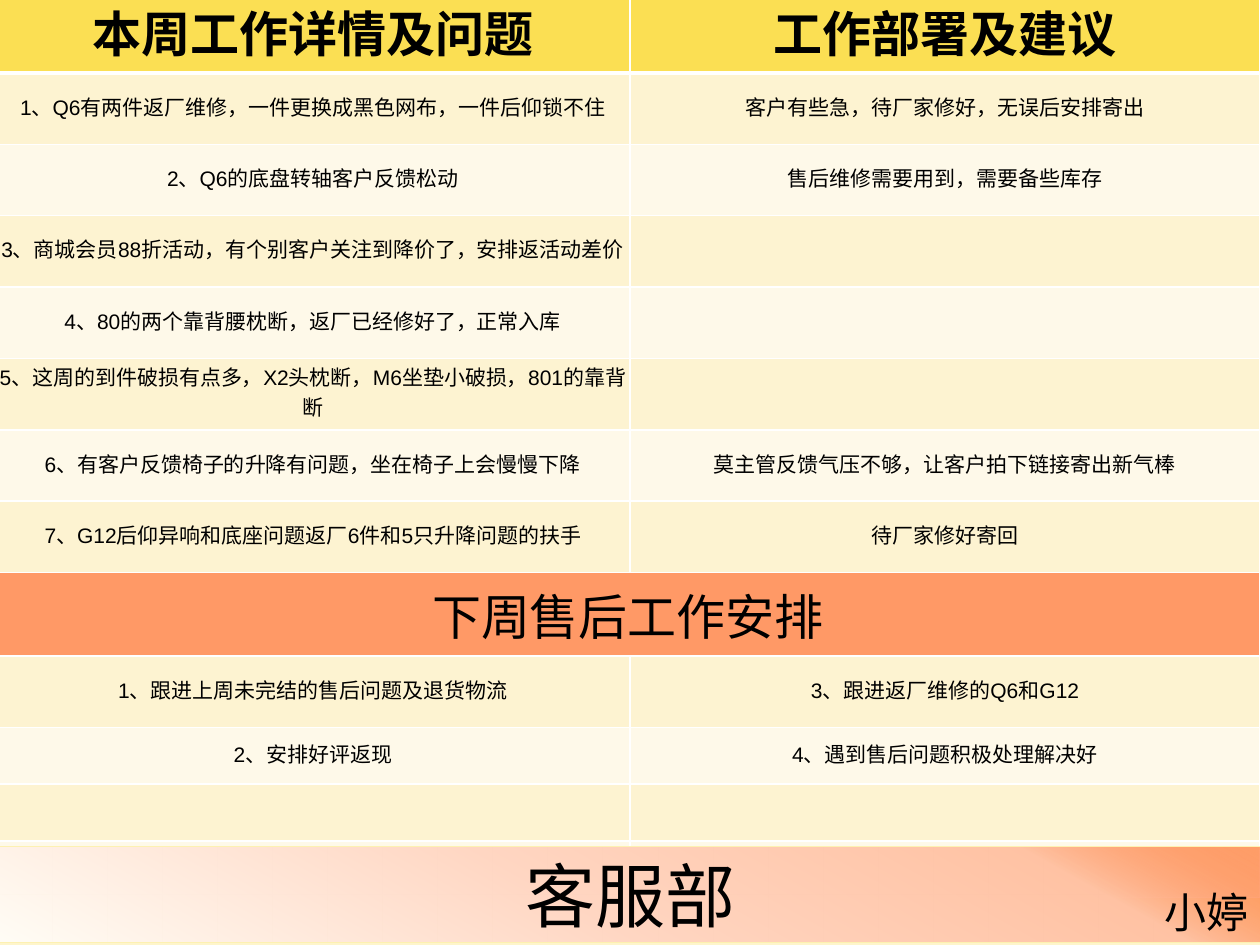
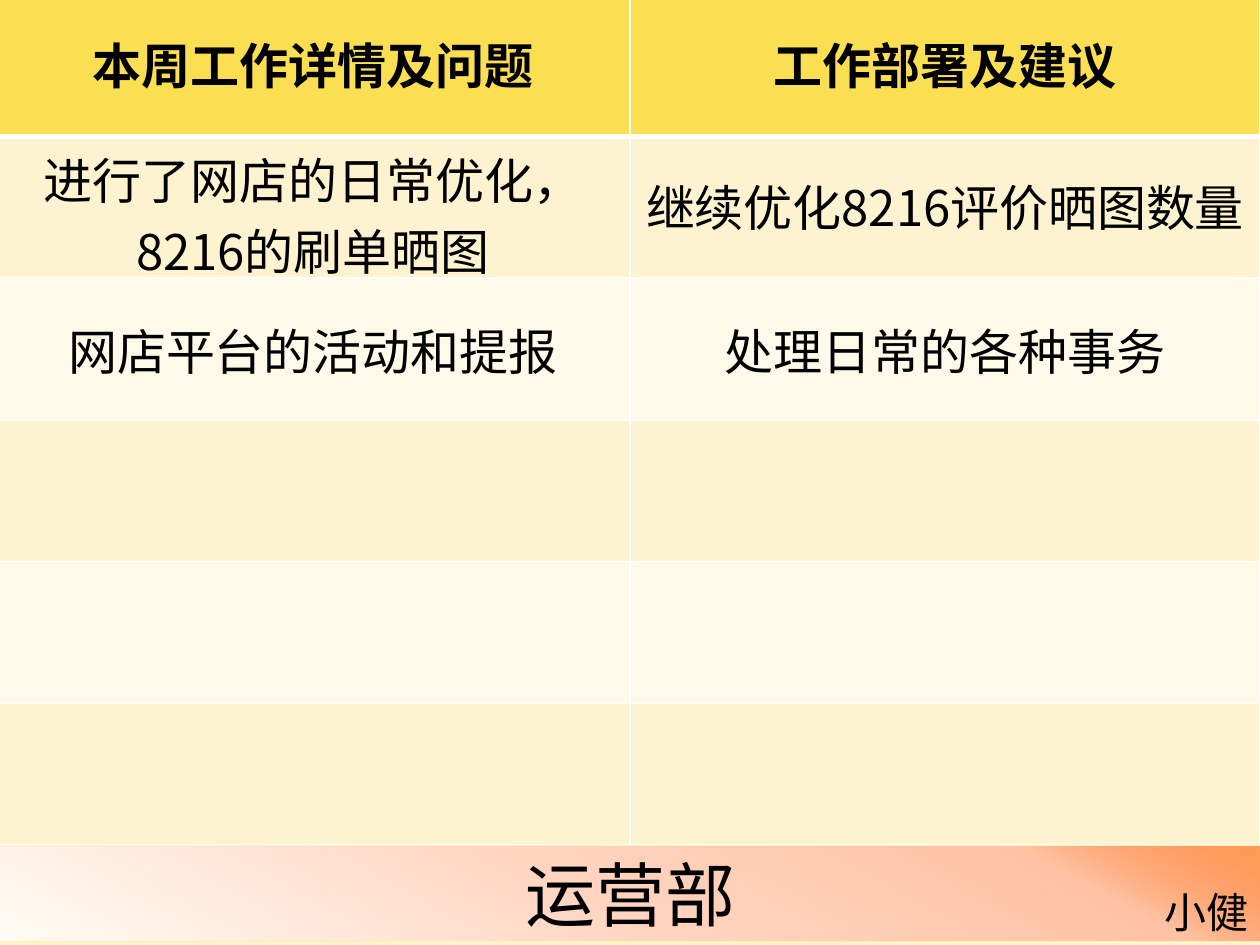
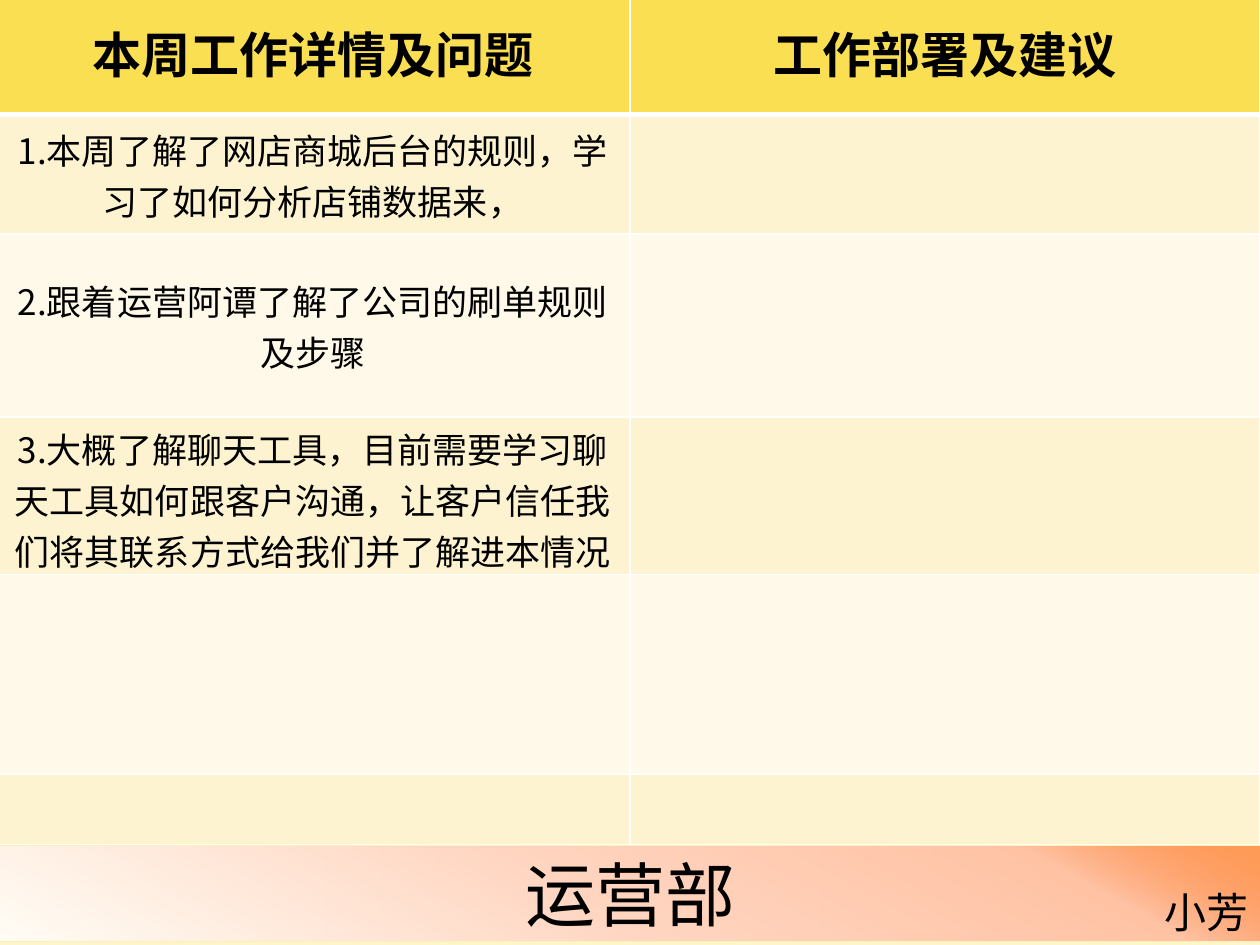
"""Weekly work report: one full-page table per person above a department band."""
from lxml.etree import SubElement
from pptx import Presentation
from pptx.dml.color import RGBColor as RGB
from pptx.enum.shapes import MSO_SHAPE as SHAPE
from pptx.enum.text import MSO_ANCHOR as ANCHOR, MSO_AUTO_SIZE as AUTO, PP_ALIGN as ALIGN
from pptx.oxml.ns import qn
from pptx.util import Emu, Pt

PX = 914400 // 120
SANS = "Noto Sans CJK SC"
HEX = {
    "text": "000000", "white": "FFFFFF", "head": "FBDF53", "odd": "FDF3D1",
    "even": "FEF9E9", "banner": "FF9966", "line": "FDF1B2", "cream": "FFFDF6",
    "pale": "FEF5CB", "peach": "FFD6C2", "coral": "FFC2A3", "orange": "FF5D0D",
}
PAGE = [(0, "cream", 100), (74, "line", 100), (83, "line", 100), (100, "pale", 100)]
BAND = [(0, "cream", 100), (45, "peach", 100), (83, "coral", 100), (100, "orange", 58)]
HEAD = ("本周工作详情及问题", "工作部署及建议")
PLAN = "下周售后工作安排"

REPORTS = [
    {"dept": "客服部", "name": "小婷", "top": 806, "size": 12, "font": "Arial",
     "heights": [64] + [68] * 9 + [54] * 3,
     "rows": [
         HEAD,
         ("1、Q6有两件返厂维修，一件更换成黑色网布，一件后仰锁不住",
          "客户有些急，待厂家修好，无误后安排寄出"),
         ("2、Q6的底盘转轴客户反馈松动", "售后维修需要用到，需要备些库存"),
         ("3、商城会员88折活动，有个别客户关注到降价了，安排返活动差价", ""),
         ("4、80的两个靠背腰枕断，返厂已经修好了，正常入库", ""),
         ("5、这周的到件破损有点多，X2头枕断，M6坐垫小破损，801的靠背断", ""),
         ("6、有客户反馈椅子的升降有问题，坐在椅子上会慢慢下降",
          "莫主管反馈气压不够，让客户拍下链接寄出新气棒"),
         ("7、G12后仰异响和底座问题返厂6件和5只升降问题的扶手", "待厂家修好寄回"),
         (PLAN, ""),
         ("1、跟进上周未完结的售后问题及退货物流", "3、跟进返厂维修的Q6和G12"),
         ("2、安排好评返现", "4、遇到售后问题积极处理解决好"),
     ]},
    {"dept": "运营部", "name": "小健", "top": 805, "size": 28, "font": SANS,
     "heights": [135] * 6,
     "rows": [
         HEAD,
         ("进行了网店的日常优化，8216的刷单晒图", "继续优化8216评价晒图数量"),
         ("网店平台的活动和提报", "处理日常的各种事务"),
     ]},
    {"dept": "运营部", "name": "小芳", "top": 805, "size": 20, "font": SANS,
     "heights": [114, 114, 174, 150, 190, 68],
     "rows": [
         HEAD,
         ("1.本周了解了网店商城后台的规则，学习了如何分析店铺数据来，", ""),
         ("2.跟着运营阿谭了解了公司的刷单规则及步骤", ""),
         ("3.大概了解聊天工具，目前需要学习聊天工具如何跟客户沟通，"
          "让客户信任我们将其联系方式给我们并了解进本情况", ""),
     ]},
]


def blend(node, stops, angle):
    """Replace the solid fill in node by a linear gradient."""
    solid = node.find(qn("a:solidFill"))
    grad = node.makeelement(qn("a:gradFill"), {"rotWithShape": "1"})
    steps = SubElement(grad, qn("a:gsLst"))
    for pos, tint, alpha in stops:
        stop = SubElement(steps, qn("a:gs"), pos=str(pos * 1000))
        color = SubElement(stop, qn("a:srgbClr"), val=HEX[tint])
        if alpha < 100:
            SubElement(color, qn("a:alpha"), val=str(alpha * 1000))
    SubElement(grad, qn("a:lin"), ang=str(angle * 60000), scaled="0")
    node.replace(solid, grad)


def write(frame, text, size, font=SANS, bold=False, align=ALIGN.CENTER):
    """Put one formatted run into a text frame."""
    para = frame.paragraphs[0]
    para.alignment = align
    run = para.add_run()
    run.text = text
    run.font.size, run.font.bold, run.font.name = Pt(size), bold, font
    run.font.color.rgb = RGB.from_string(HEX["text"])
    SubElement(run.font._element, qn("a:ea"), typeface=SANS)


prs = Presentation()
prs.slide_width, prs.slide_height = Emu(1200 * PX), Emu(900 * PX)
master = prs.slide_master
master.background.fill.solid()
blend(master.element.find(".//" + qn("p:bgPr")), PAGE, 90)

for report in REPORTS:
    slide = prs.slides.add_slide(prs.slide_layouts[6])
    heights = report["heights"]
    table = slide.shapes.add_table(
        len(heights), 2, Emu(-4 * PX), Emu(-5 * PX), Emu(1204 * PX), Emu(sum(heights) * PX)).table
    for col, width in zip(table.columns, (604, 600)):
        col.width = Emu(width * PX)
    for r, height in enumerate(heights):
        table.rows[r].height = Emu(height * PX)
        texts = report["rows"][r] if r < len(report["rows"]) else ("", "")
        plan = texts[0] == PLAN
        tint = "head" if r == 0 else "banner" if plan else "odd" if r % 2 else "even"
        for c, text in enumerate(texts):
            cell = table.cell(r, c)
            cell.fill.solid()
            cell.fill.fore_color.rgb = RGB.from_string(HEX[tint])
            cell.vertical_anchor = ANCHOR.MIDDLE
            if text and not plan and (r == 0 or report["size"] == 12 or r == c == 1):
                cell.margin_left = cell.margin_right = cell.margin_top = Emu(PX)
                cell.margin_bottom = Emu(6 * PX)
            props = cell._tc.get_or_add_tcPr()
            for i, side in enumerate("LRTB"):
                thick = 3 if (r, side) in ((0, "B"), (1, "T")) else 1
                edge = props.makeelement(qn("a:ln" + side), {"w": str(Pt(thick))})
                fill = SubElement(edge, qn("a:solidFill"))
                SubElement(fill, qn("a:srgbClr"), val=HEX["white"])
                props.insert(i, edge)
            if text and (r == 0 or plan):
                write(cell.text_frame, text, 28, bold=r == 0)
            elif text:
                write(cell.text_frame, text, report["size"], report["font"])
        if plan:
            table.cell(r, 0).merge(table.cell(r, 1))

    band = slide.shapes.add_shape(
        SHAPE.RECTANGLE, Emu(-2 * PX), Emu(report["top"] * PX), Emu(1205 * PX), Emu(92 * PX))
    band.shadow.inherit = False
    band.fill.solid()
    blend(band._element.spPr, BAND, 299)
    band.line.color.rgb = RGB.from_string(HEX["line"])
    band.line.width = Pt(0.75)
    write(band.text_frame, report["dept"], 40)

    label = slide.shapes.add_textbox(Emu(1097 * PX), Emu(838 * PX), Emu(104 * PX), Emu(60 * PX))
    label.text_frame.word_wrap = False
    label.text_frame.auto_size = AUTO.SHAPE_TO_FIT_TEXT
    write(label.text_frame, report["name"], 24, align=ALIGN.RIGHT)

prs.save("out.pptx")
